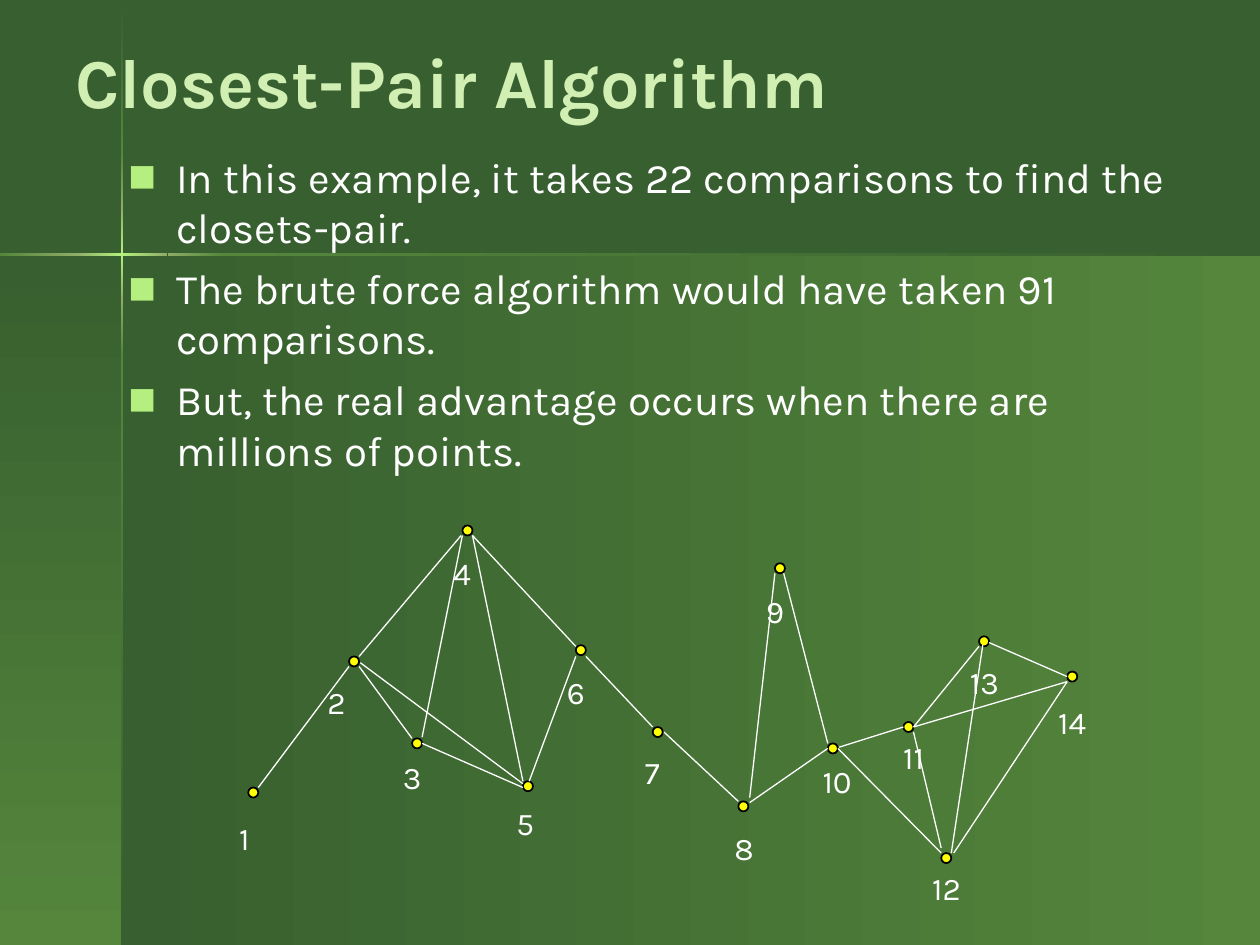
from lxml.etree import SubElement
from pptx import Presentation
from pptx.dml.color import RGBColor
from pptx.enum.shapes import MSO_CONNECTOR as CONN, MSO_SHAPE as SHAPE
from pptx.enum.text import MSO_ANCHOR as ANCHOR
from pptx.oxml.ns import qn
from pptx.util import Pt

PX = 9144  # EMU per px, 100 px to the inch
FONT = "Karla"
C = {
    "dark": "375F2F", "mid": "55863C", "pale": "8EAC66", "glow": "B4EF7F",
    "title": "D1EFB3", "white": "FFFFFF", "dot": "FFFF00", "black": "000000",
}


def rgb(name):
    return RGBColor.from_string(C[name])


class Deck:
    def __init__(self, w, h):
        self.prs = Presentation()
        self.prs.slide_width, self.prs.slide_height = w * PX, h * PX
        self.s = None

    def slide(self, bg):
        self.s = self.prs.slides.add_slide(self.prs.slide_layouts[6])
        fill = self.s.background.fill
        fill.solid()
        fill.fore_color.rgb = rgb(bg)

    def shape(self, kind, x, y, w, h):
        sp = self.s.shapes.add_shape(kind, x * PX, y * PX, w * PX, h * PX)
        sp.shadow.inherit = False
        return sp

    def gradient(self, x, y, w, h, colors, down=False):
        sp = self.shape(SHAPE.RECTANGLE, x, y, w, h)
        sp.line.fill.background()
        sp.fill.gradient()
        sp.fill.gradient_angle = 270 if down else 0
        stops = next(sp._element.iter(qn("a:gsLst")))
        for gs in list(stops):
            stops.remove(gs)
        for i, name in enumerate(colors):
            pos = 100000 * i // (len(colors) - 1)
            gs = SubElement(stops, qn("a:gs"), pos=str(pos))
            SubElement(gs, qn("a:srgbClr"), val=C[name])

    def dot(self, x, y, d=8):
        sp = self.shape(SHAPE.OVAL, x, y, d, d)
        sp.fill.solid()
        sp.fill.fore_color.rgb = rgb("dot")
        sp.line.color.rgb = rgb("black")
        sp.line.width = Pt(1)

    def line(self, x1, y1, x2, y2):
        cn = self.s.shapes.add_connector(
            CONN.STRAIGHT, x1 * PX, y1 * PX, x2 * PX, y2 * PX)
        cn.line.color.rgb = rgb("white")
        cn.line.width = Pt(0.75)
        SubElement(cn._element.spPr, qn("a:effectLst"))

    def text(self, x, y, w, h, paras, size, color="white", bold=False,
             anchor=ANCHOR.TOP, bullet=False):
        sp = self.s.shapes.add_textbox(x * PX, y * PX, w * PX, h * PX)
        tf = sp.text_frame
        tf.word_wrap = True
        tf.vertical_anchor = anchor
        for i, words in enumerate(paras):
            p = tf.add_paragraph() if i else tf.paragraphs[0]
            r = p.add_run()
            r.text = words
            r.font.name, r.font.size, r.font.bold = FONT, Pt(size), bold
            r.font.color.rgb = rgb(color)
            if bullet:
                self.bullet(p)

    def bullet(self, p, indent=38):
        p.space_before = Pt(6)
        pr = p._p.get_or_add_pPr()
        pr.set("marL", str(indent * PX))
        pr.set("indent", str(-indent * PX))
        SubElement(SubElement(pr, qn("a:buClr")), qn("a:srgbClr"), val=C["glow"])
        SubElement(pr, qn("a:buSzPct"), val="70000")
        SubElement(pr, qn("a:buFont"), typeface=FONT)
        SubElement(pr, qn("a:buChar"), char="■")


# Backdrop: x, y, w, h, colours, whether it runs downwards
BACKDROP = [
    # Panels
    (97, 202, 903, 548, ("dark", "mid"), False),
    (0, 202, 97, 548, ("dark", "mid"), True),
    # Crossing beams
    (96, 1, 2, 120, ("dark", "mid"), True),
    (96, 282, 2, 468, ("mid", "dark"), True),
    (177, 201, 823, 2, ("mid", "dark"), False),
    (96, 238, 2, 44, ("pale", "mid"), True),
    (96, 121, 2, 44, ("mid", "pale"), True),
    (96, 165, 2, 73, ("pale", "glow", "pale"), True),
    (0, 201, 61, 2, ("mid", "pale"), False),
    (133, 201, 44, 2, ("pale", "mid"), False),
    (60, 201, 73, 2, ("pale", "glow", "pale"), False),
]

# Points in numbered order: dot x, y and label x, y
POINTS = [
    (197, 625, 180, 645), (277, 521, 250, 537), (327, 586, 310, 597),
    (367, 417, 350, 435), (415, 620, 400, 633), (457, 512, 440, 529),
    (518, 577, 502, 593), (586, 636, 573, 653), (615, 447, 598, 465),
    (657, 590, 643, 600), (717, 573, 707, 581), (747, 677, 730, 685),
    (777, 505, 760, 521), (847, 533, 830, 553),
]

# Compared pairs: x1, y1, x2, y2
PAIRS = [
    (285, 529, 327, 586), (205, 625, 277, 529), (415, 620, 375, 425),
    (518, 577, 465, 521), (457, 513, 375, 425), (457, 521, 420, 620),
    (335, 585, 367, 425), (415, 625, 335, 590), (415, 622, 286, 526),
    (366, 425, 285, 521), (622, 455, 657, 590), (595, 637, 657, 594),
    (595, 633, 615, 455), (725, 581, 747, 673), (785, 510, 847, 537),
    (780, 512, 755, 677), (847, 541, 757, 677), (847, 541, 725, 577),
    (725, 577, 777, 513), (665, 594, 747, 677), (666, 593, 717, 577),
    (527, 581, 586, 636),
]

BULLETS = [
    "In this example, it takes 22 comparisons to find the closets-pair.",
    "The brute force algorithm would have taken 91 comparisons.",
    "But, the real advantage occurs when there are millions of points.",
]


def main():
    deck = Deck(1000, 750)
    deck.slide("dark")
    for band in BACKDROP:
        deck.gradient(*band)

    # Points and their numbers
    for x, y, _, _ in POINTS:
        deck.dot(x, y)
    for n, (_, _, x, y) in enumerate(POINTS, 1):
        deck.text(x, y, 50, 40, [str(n)], 18)

    # Title
    deck.text(50, 33, 740, 62, ["Closest-Pair Algorithm"], 40, "title",
              bold=True, anchor=ANCHOR.MIDDLE)

    # Comparison lines
    for pair in PAIRS:
        deck.line(*pair)

    # Body
    deck.text(92, 115, 849, 552, BULLETS, 24, bullet=True)
    deck.prs.save("out.pptx")


if __name__ == "__main__":
    main()
